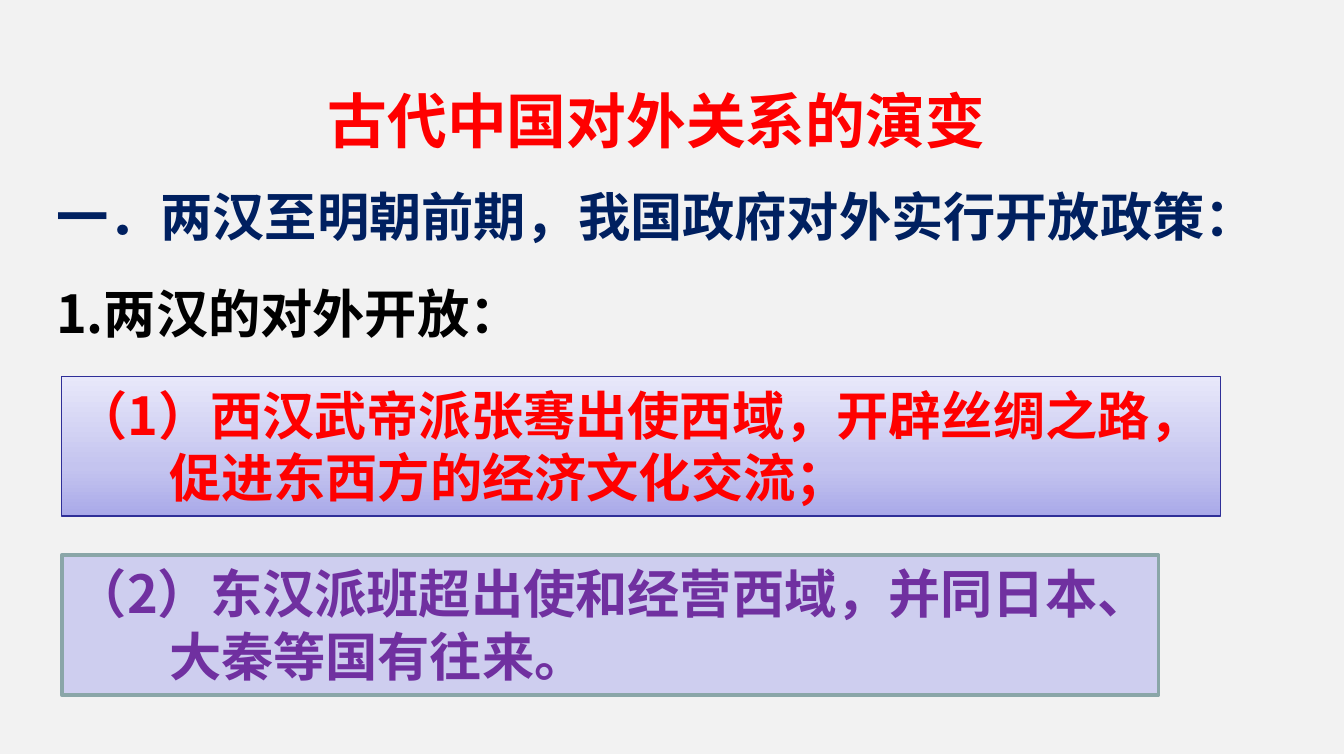
from copy import deepcopy

from lxml.etree import SubElement
from pptx import Presentation
from pptx.dml.color import RGBColor
from pptx.enum.shapes import MSO_SHAPE
from pptx.enum.text import MSO_ANCHOR, MSO_AUTO_SIZE, PP_ALIGN
from pptx.oxml.ns import qn
from pptx.util import Inches, Pt

FONT = "Noto Sans CJK SC"
COLORS = {
    "background": "F2F2F2",
    "red": "FF0000",
    "navy": "002060",
    "black": "000000",
    "purple": "7030A0",
    "blue_line": "2F2F98",
    "teal_line": "8AA6A8",
    "lilac": "CECEEF",
    "grad_dark": "A9A9E9",
    "grad_mid": "C4C4EF",
    "grad_light": "E8E8FA",
}
HANGING = 0.7  # indent of the second line of a point


def rgb(name):
    return RGBColor.from_string(COLORS[name])


def write(sp, lines, color, size=28, wrap=True):
    """Fill a shape with bold lines; lines after the first are indented."""
    tf = sp.text_frame
    tf.word_wrap = wrap
    tf.auto_size = MSO_AUTO_SIZE.SHAPE_TO_FIT_TEXT
    tf.vertical_anchor = MSO_ANCHOR.TOP
    tf.text = "\n".join(lines)
    for i, p in enumerate(tf.paragraphs):
        p.alignment = PP_ALIGN.LEFT
        if i:
            p._p.get_or_add_pPr().set("marL", str(Inches(HANGING)))
        for r in p.runs:
            r.font.size = Pt(size)
            r.font.bold = True
            r.font.name = FONT
            r.font.color.rgb = rgb(color)
            SubElement(r._r.get_or_add_rPr(), qn("a:ea")).set("typeface", FONT)
    return tf


def add_heading(slide, box, text, color, **style):
    sp = slide.shapes.add_textbox(*map(Inches, box))
    return write(sp, [text], color, **style)


def add_point(slide, box, lines, color, line_color, line_width):
    sp = slide.shapes.add_shape(MSO_SHAPE.RECTANGLE, *map(Inches, box))
    sp.shadow.inherit = False
    sp.line.color.rgb = rgb(line_color)
    sp.line.width = Pt(line_width)
    write(sp, lines, color)
    return sp


def fill_solid(fill, color):
    fill.solid()
    fill.fore_color.rgb = rgb(color)


def fill_gradient(fill, stops, angle):
    fill.gradient()
    fill.gradient_angle = angle
    last = fill.gradient_stops[-1]._gs
    for _ in range(len(stops) - len(fill.gradient_stops)):
        last.addnext(deepcopy(last))
    for stop, (position, color) in zip(fill.gradient_stops, stops):
        stop.position = position
        stop.color.rgb = rgb(color)


def main():
    prs = Presentation()
    prs.slide_width, prs.slide_height = Inches(10), Inches(5.61)
    slide = prs.slides.add_slide(prs.slide_layouts[6])
    fill_solid(slide.background.fill, "background")

    # Title and headings
    tf = add_heading(slide, (2.34, 0.31, 5.14, 0.91), "古代中国对外关系的演变",
                     "red", size=32, wrap=False)
    tf.paragraphs[0].line_spacing = 1.5
    add_heading(slide, (0.32, 1.32, 9.18, 0.57),
                "一．两汉至明朝前期，我国政府对外实行开放政策：", "navy")
    add_heading(slide, (0.32, 2.04, 5, 0.57), "1.两汉的对外开放：", "black")

    # Western Han
    sp = add_point(slide, (0.46, 2.8, 8.62, 1.04),
                   ["（1）西汉武帝派张骞出使西域，开辟丝绸之路，",
                    "促进东西方的经济文化交流；"],
                   "red", "blue_line", 0.75)
    fill_gradient(sp.fill, [(0, "grad_dark"), (0.35, "grad_mid"),
                            (1, "grad_light")], 90)

    # Eastern Han
    sp = add_point(slide, (0.46, 4.13, 8.16, 1.04),
                   ["（2）东汉派班超出使和经营西域，并同日本、",
                    "大秦等国有往来。"],
                   "purple", "teal_line", 2)
    fill_solid(sp.fill, "lilac")

    prs.save("out.pptx")


if __name__ == "__main__":
    main()
